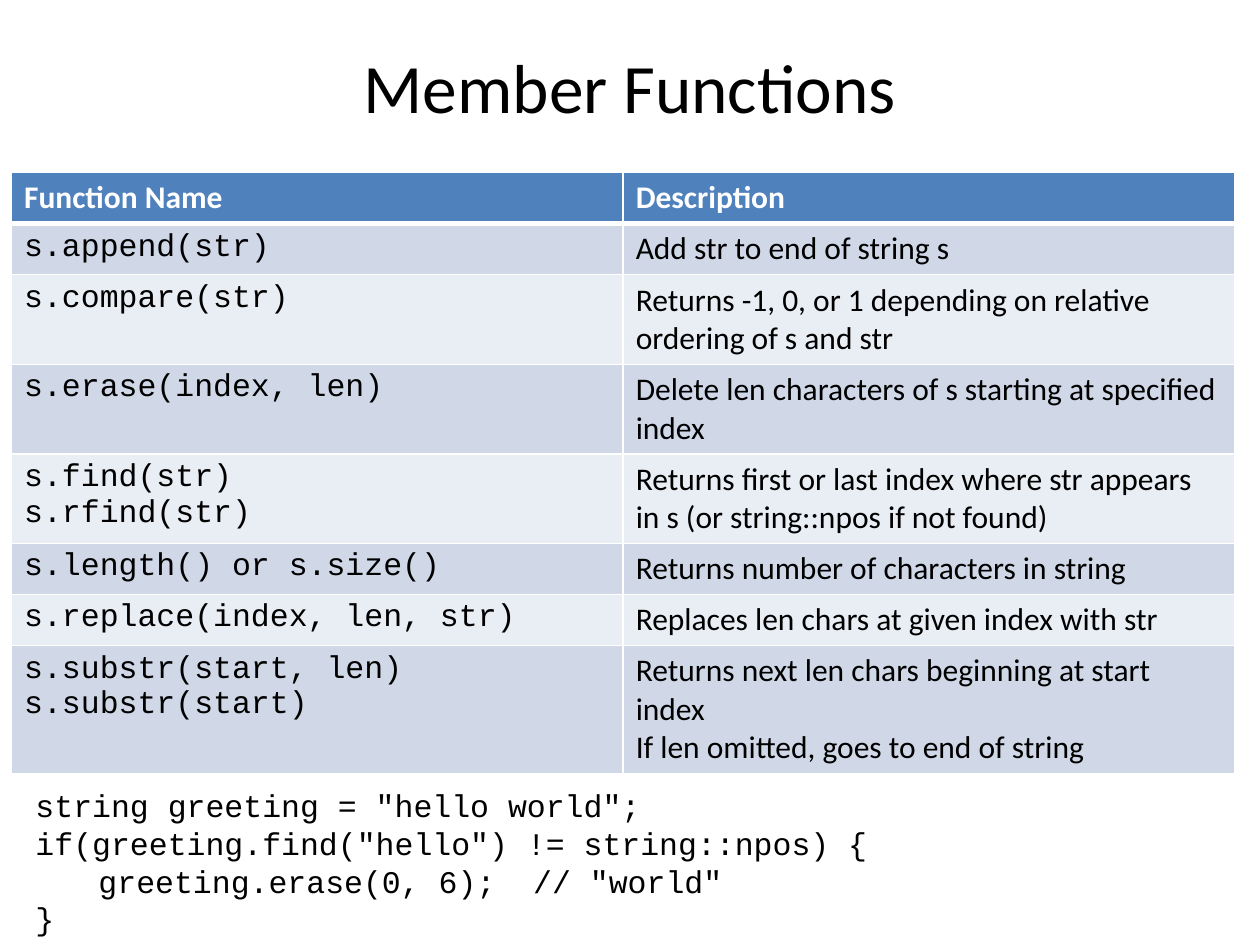
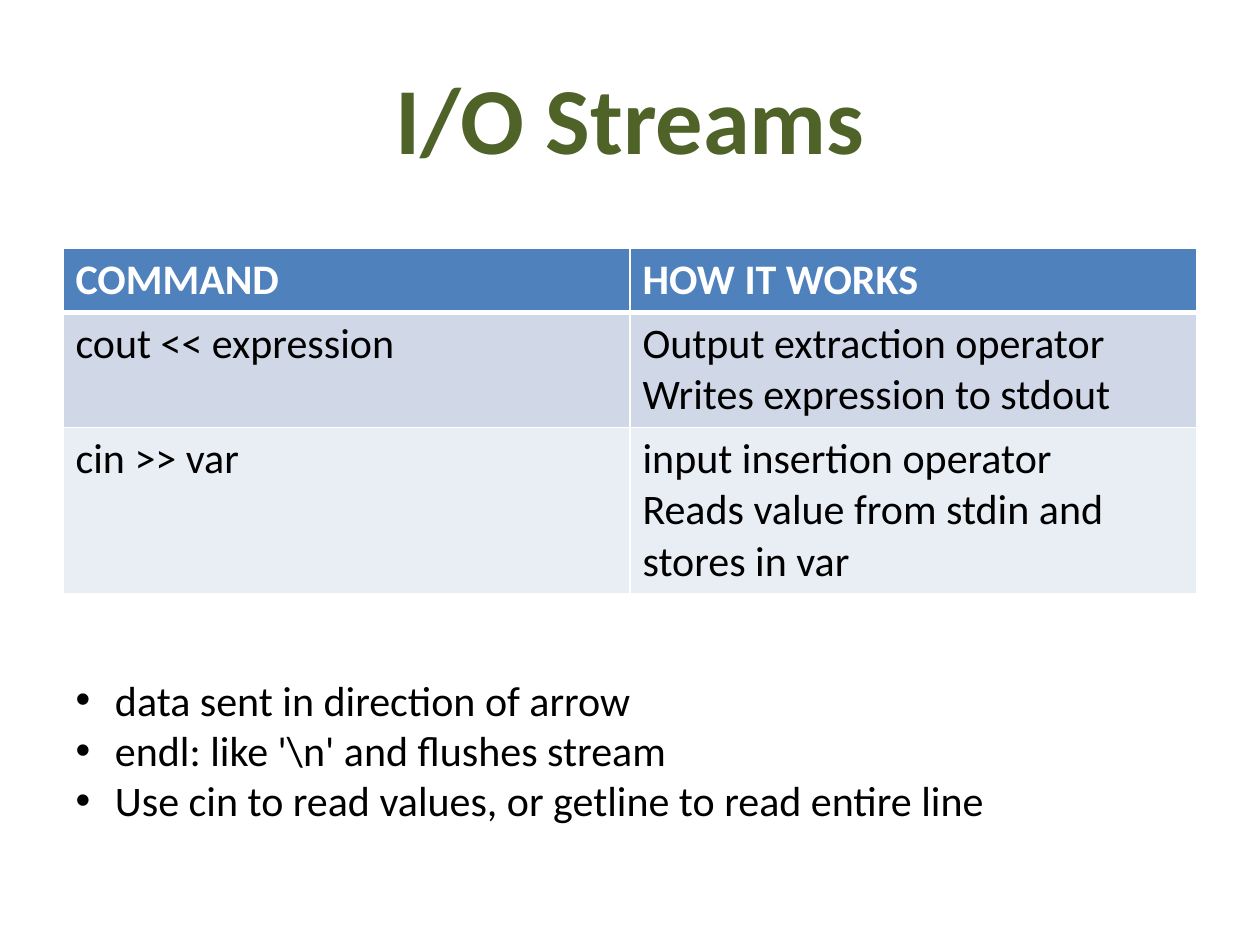
import pptx
import pptx.util
import pptx.dml.color
import pptx.enum.text
import pptx.oxml

Pt = pptx.util.Pt
NAMESPACE = 'xmlns:a="http://schemas.openxmlformats.org/drawingml/2006/main"'
COLORS = {"text": "000000", "white": "FFFFFF", "green": "4F6228",
          "header": "4F81BD", "odd": "D0D8E8", "even": "E9EDF4"}
BODY, CODE = "Calibri", "Courier New"
LINE_RATIO = 1.22  # line height over font size
CELL_PADDING = 7.2  # top and bottom cell margins together


def format_text(frame, size, name=BODY, color="text", bold=False):
    for paragraph in frame.paragraphs:
        for attribute, value in {"size": Pt(size), "name": name, "bold": bold}.items():
            setattr(paragraph.font, attribute, value)
        paragraph.font.color.rgb = pptx.dml.color.RGBColor.from_string(COLORS[color])


def add_grid(slide, left, top, width, size, rows, first_font):
    line_counts = [max(lines for text, lines in row) for row in rows]
    heights = [CELL_PADDING + LINE_RATIO * size * count for count in line_counts]
    table = slide.shapes.add_table(len(rows), 2, Pt(left), Pt(top),
                                   Pt(width), Pt(sum(heights))).table
    for row_index, row in enumerate(rows):
        table.rows[row_index].height = Pt(heights[row_index])
        is_header = row_index == 0
        fill = "header" if is_header else ("even", "odd")[row_index % 2]
        for column_index, (text, lines) in enumerate(row):
            cell = table.cell(row_index, column_index)
            cell.text = text
            name = first_font if column_index == 0 and not is_header else BODY
            format_text(cell.text_frame, size, name,
                        "white" if is_header else "text", is_header)
            cell.fill.solid()
            cell.fill.fore_color.rgb = pptx.dml.color.RGBColor.from_string(COLORS[fill])
            # White rules, thicker under the header
            borders = {"lnL": 1, "lnR": 1, "lnT": 3 if row_index == 1 else 1,
                       "lnB": 3 if is_header else 1}
            properties = cell._tc.get_or_add_tcPr()
            for position, (tag, weight) in enumerate(borders.items()):
                properties.insert(position, pptx.oxml.parse_xml(
                    f'<a:{tag} {NAMESPACE} w="{Pt(weight)}"><a:solidFill>'
                    f'<a:srgbClr val="{COLORS["white"]}"/></a:solidFill></a:{tag}>'))


presentation = pptx.Presentation()
presentation.slide_width = Pt(720)
presentation.slide_height = Pt(540)

# Each row holds (text, number of lines) pairs
member_functions = [
    [("Function Name", 1), ("Description", 1)],
    [("s.append(str)", 1), ("Add str to end of string s", 1)],
    [("s.compare(str)", 1),
     ("Returns -1, 0, or 1 depending on relative ordering of s and str", 2)],
    [("s.erase(index, len)", 1),
     ("Delete len characters of s starting at specified index", 2)],
    [("s.find(str)\ns.rfind(str)", 2),
     ("Returns first or last index where str appears in s (or string::npos if not found)", 2)],
    [("s.length() or s.size()", 1), ("Returns number of characters in string", 1)],
    [("s.replace(index, len, str)", 1), ("Replaces len chars at given index with str", 1)],
    [("s.substr(start, len)\ns.substr(start)", 2),
     ("Returns next len chars beginning at start index\n"
      "If len omitted, goes to end of string", 3)],
]
stream_commands = [
    [("COMMAND", 1), ("HOW IT WORKS", 1)],
    [("cout << expression", 1),
     ("Output extraction operator\nWrites expression to stdout", 2)],
    [("cin >> var", 1),
     ("input insertion operator\nReads value from stdin and stores in var", 3)],
]

# Slides with their titles and tables
pages = [
    {"layout": 5, "title": "Member Functions", "title_height": 55.4,
     "title_format": {"size": 39.6},
     "grid": {"left": 6.6, "top": 98.6, "width": 699, "size": 18,
              "rows": member_functions, "first_font": CODE}},
    {"layout": 1, "title": "I/O Streams", "title_height": 90,
     "title_format": {"size": 54, "color": "green", "bold": True},
     "grid": {"left": 36, "top": 142, "width": 648, "size": 24,
              "rows": stream_commands, "first_font": BODY}},
]
slides = []
for page in pages:
    slide = presentation.slides.add_slide(presentation.slide_layouts[page["layout"]])
    title = slide.shapes.title
    title.left, title.top = Pt(36), Pt(21.6)
    title.width, title.height = Pt(648), Pt(page["title_height"])
    title.text_frame.text = page["title"]
    title.text_frame.auto_size = pptx.enum.text.MSO_AUTO_SIZE.NONE
    title.text_frame.vertical_anchor = pptx.enum.text.MSO_ANCHOR.MIDDLE
    title.text_frame.paragraphs[0].alignment = pptx.enum.text.PP_ALIGN.CENTER
    format_text(title.text_frame, **page["title_format"])
    add_grid(slide, **page["grid"])
    slides.append(slide)
functions_slide, streams_slide = slides

# Code example under the member functions
code_box = functions_slide.shapes.add_textbox(Pt(13.2), Pt(445.6), Pt(585), Pt(94.4))
code_frame = code_box.text_frame
code_frame.word_wrap = True
code_frame.text = '''string greeting = "hello world";
if(greeting.find("hello") != string::npos) {
\tgreeting.erase(0, 6);  // "world"
}'''
for paragraph in code_frame.paragraphs:
    paragraph._p.get_or_add_pPr().append(pptx.oxml.parse_xml(
        f'<a:tabLst {NAMESPACE}><a:tab pos="{Pt(36)}" algn="l"/></a:tabLst>'))
format_text(code_frame, 18, CODE)

# Bulleted notes under the stream commands
notes = streams_slide.placeholders[1]
notes.left, notes.top, notes.width, notes.height = Pt(36), Pt(381.6), Pt(642), Pt(94.4)
notes_frame = notes.text_frame
notes_frame.text = "\n".join([
    "data sent in direction of arrow",
    r"endl: like '\n' and flushes stream",
    "Use cin to read values, or getline to read entire line",
])
notes_frame.auto_size = pptx.enum.text.MSO_AUTO_SIZE.NONE
for paragraph in notes_frame.paragraphs:
    paragraph.space_before = Pt(0)
    properties = paragraph._p.get_or_add_pPr()
    properties.set("marL", str(Pt(22.5)))
    properties.set("indent", str(-Pt(22.5)))
    for bullet in ('buFont {} typeface="Arial"', 'buChar {} char="•"'):
        properties.append(pptx.oxml.parse_xml(f"<a:{bullet.format(NAMESPACE)}/>"))
format_text(notes_frame, 24)

presentation.save("out.pptx")
